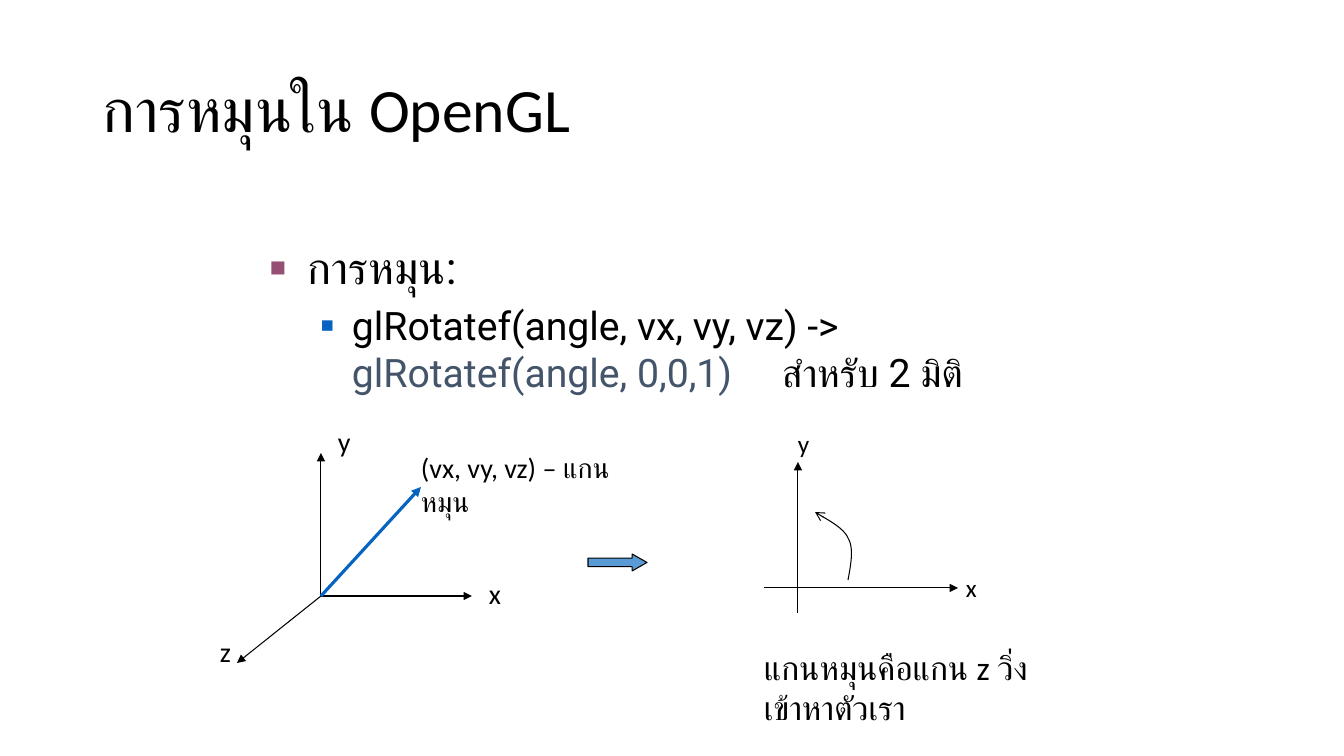
import pptx
import pptx.util
import pptx.dml.color
import pptx.enum.shapes
import pptx.enum.text
import pptx.oxml
import pptx.oxml.ns

SCALE = 914400 / 100.8
BLACK = "000000"
BLUE = "0563C1"


def emu(size):
    """Turn pixels into EMU."""
    return round(size * SCALE)


def color(code):
    """Turn a hex string into a colour."""
    return pptx.dml.color.RGBColor.from_string(code)


def node(parent, tag, **attrs):
    """Append a drawing element with attributes."""
    item = pptx.oxml.parse_xml(f"<{tag} {pptx.oxml.ns.nsdecls('a')}/>")
    for name, value in attrs.items():
        item.set(name, str(value))
    parent.append(item)
    return item


def style(run, size, font=None, code=BLACK):
    """Set the look of a run."""
    run.font.size = pptx.util.Pt(size)
    run.font.name = font or "Calibri"
    run.font.color.rgb = color(code)


def stroke(line, code=BLACK, width=0.75, head=None):
    """Set the line colour, width and arrowhead."""
    line.color.rgb = color(code)
    line.width = pptx.util.Pt(width)
    if head:
        node(line._get_or_add_ln(), "a:tailEnd", type=head)


def box(shapes, place, wrap=True):
    """Add an empty text box and return its frame."""
    frame = shapes.add_textbox(*map(emu, place)).text_frame
    frame.word_wrap = wrap
    return frame


def label(shapes, text, place, size, wrap=False):
    """Add a text label that fits its words."""
    frame = box(shapes, place, wrap)
    frame.auto_size = pptx.enum.text.MSO_AUTO_SIZE.SHAPE_TO_FIT_TEXT
    frame.text = text
    style(frame.paragraphs[0].runs[0], size)


def arrow(shapes, start, end, code=BLACK, width=0.75):
    """Add a straight arrow."""
    kind = pptx.enum.shapes.MSO_CONNECTOR.STRAIGHT
    line = shapes.add_connector(kind, *map(emu, start + end))
    stroke(line.line, code, width, "triangle")
    node(line._element.spPr, "a:effectLst")


def curve(shapes, points, steps=24):
    """Add an open arrow along joined cubic curves."""
    track = []
    for first in range(0, len(points) - 1, 3):
        for step in range(steps + 1):
            t = step / steps
            parts = ((1 - t) ** 3, 3 * t * (1 - t) ** 2, 3 * t * t * (1 - t), t ** 3)
            group = points[first:first + 4]
            track.append(tuple(emu(sum(p * spot[i] for p, spot in zip(parts, group)))
                               for i in (0, 1)))
    pen = shapes.build_freeform(*track[0])
    pen.add_line_segments(track[1:], close=False)
    shape = pen.convert_to_shape()
    shape.shadow.inherit = False
    shape.fill.background()
    stroke(shape.line, head="arrow")


def bullet(para, level, indent, hang, code, size, tab=None):
    """Give a paragraph a square bullet and a hanging indent."""
    para.level = level
    props = para._p.get_or_add_pPr()
    props.set("marL", str(emu(indent)))
    props.set("indent", str(-emu(hang)))
    before = node(props, "a:spcBef")
    node(before, "a:spcPct", val=20000)
    node(node(props, "a:buClr"), "a:srgbClr", val=code)
    node(props, "a:buSzPct", val=size * 1000)
    node(props, "a:buFont", typeface="Arial")
    node(props, "a:buChar", char="■")
    if tab:
        node(node(props, "a:tabLst"), "a:tab", pos=emu(tab), algn="l")


def title(shapes):
    """Add the slide title."""
    frame = box(shapes, (93, 40, 1159, 146))
    frame.vertical_anchor = pptx.enum.text.MSO_ANCHOR.MIDDLE
    frame.text = "การหมุนใน OpenGL"
    frame.paragraphs[0].line_spacing = 0.9
    style(frame.paragraphs[0].runs[0], 44)


def body(shapes):
    """Add the bullets on rotation."""
    frame = box(shapes, (260, 235, 857, 454))
    top = frame.paragraphs[0]
    top.text = "การหมุน:"
    style(top.runs[0], 32, "Roboto")
    bullet(top, 0, 38, 38, "954F72", 60)
    call = frame.add_paragraph()
    for text, code in (("glRotatef(angle, vx, vy, vz) -> ", BLACK),
                       ("glRotatef(angle, 0,0,1)\t", "44546A"),
                       ("สำหรับ 2 มิติ", BLACK)):
        run = call.add_run()
        run.text = text
        style(run, 28, "Roboto", code)
    bullet(call, 1, 82, 31, BLUE, 55, 512)


def space(shapes):
    """Add the three axes and the rotation axis."""
    group = shapes.add_group_shape().shapes
    root = (321, 596)
    for end in ((321, 453), (472, 596), (237, 663)):
        arrow(group, root, end)
    for text, left, top in (("x", 479, 572), ("y", 328, 420), ("z", 210, 630)):
        label(group, text, (left, top, 33, 44), 20)
    arrow(group, root, (421, 487), BLUE, 2.25)
    label(shapes, "(vx, vy, vz) – แกนหมุน", (411, 446, 234, 44), 20, True)


def plane(shapes):
    """Add the flat axes with the turning arrow."""
    arrow(shapes, (764, 588), (958, 588))
    arrow(shapes, (798, 613), (798, 462))
    label(shapes, "x", (956, 567, 31, 40), 18)
    label(shapes, "y", (788, 423, 33, 40), 18)
    label(shapes, "แกนหมุนคือแกน z วิ่งเข้าหาตัวเรา", (754, 642, 336, 50), 24, True)
    curve(shapes, ((848, 580), (851, 564), (854, 548), (848, 538),
                   (843, 526), (820, 516), (815, 512)))


def block(shapes):
    """Add the block arrow between the drawings."""
    kind = pptx.enum.shapes.MSO_SHAPE.RIGHT_ARROW
    shape = shapes.add_shape(kind, *map(emu, (588, 554, 59, 17)))
    shape.adjustments[0] = 0.5
    shape.adjustments[1] = 0.875
    shape.shadow.inherit = False
    shape.fill.solid()
    shape.fill.fore_color.rgb = color("5B9BD5")
    stroke(shape.line)


def main():
    """Build and save the slide."""
    deck = pptx.Presentation()
    deck.slide_width, deck.slide_height = emu(1344), emu(756)
    shapes = deck.slides.add_slide(deck.slide_layouts[6]).shapes
    body(shapes)
    space(shapes)
    block(shapes)
    plane(shapes)
    title(shapes)
    deck.save("out.pptx")


main()
